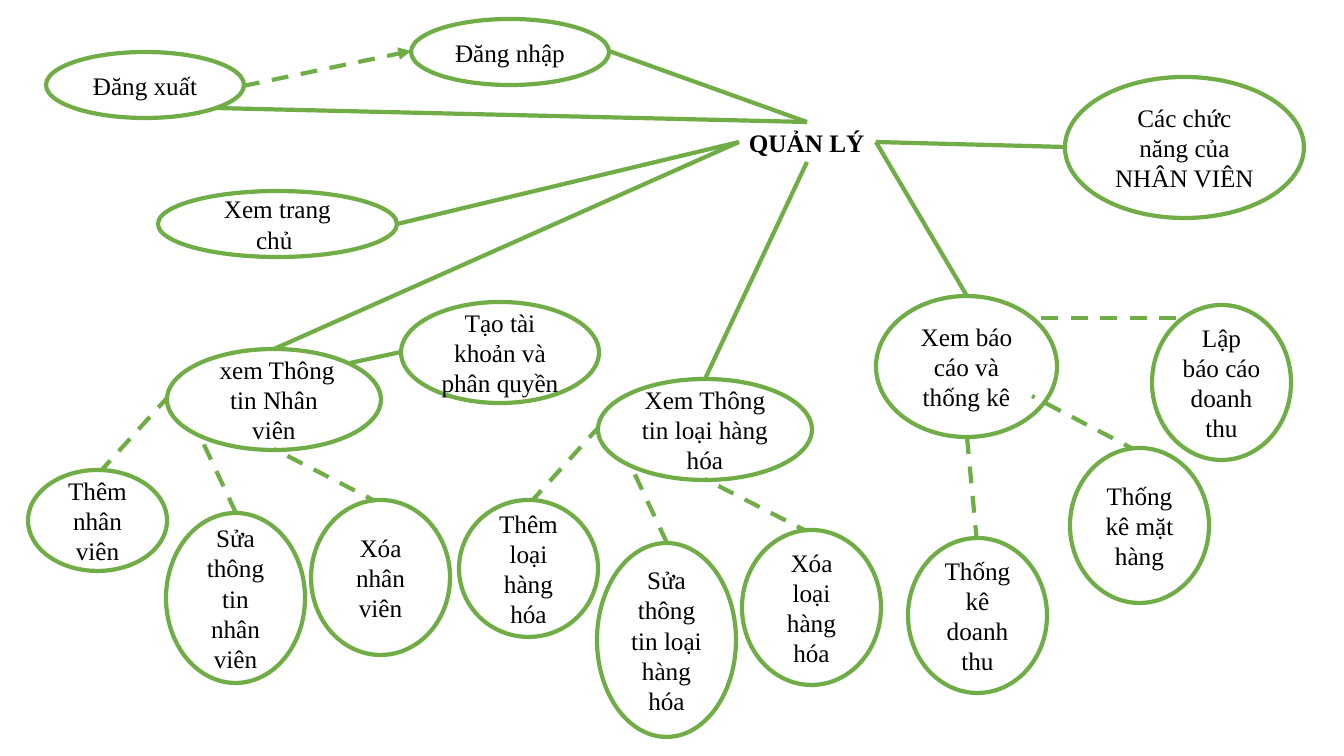
import pptx
import pptx.util
import pptx.dml.color
import pptx.enum.dml
import pptx.enum.shapes
import pptx.enum.text
import pptx.oxml.ns
import lxml.etree

PIXEL = 914400 / 100.8
GREEN = pptx.dml.color.RGBColor(0x70, 0xAD, 0x47)
WHITE = pptx.dml.color.RGBColor(0xFF, 0xFF, 0xFF)
BLACK = pptx.dml.color.RGBColor(0x00, 0x00, 0x00)
FONT = {"name": "Times New Roman", "size": pptx.util.Pt(18), "bold": False}
LINE = {"width": pptx.util.Pt(3)}
DASHED = {**LINE, "dash_style": pptx.enum.dml.MSO_LINE.DASH}

ACTION_WIDTH, ACTION_HEIGHT = 139, 155
MANAGER_BOX = (739, 122, 137, 40)

# Links and action corners are measured from the top left of their hub.
DETAIL_LINKS = [((-68, 124), (0, 49)), ((69, 164), (32, 85)), ((214, 155), (107, 100))]
DETAIL_CORNERS = [(-139, 121), (-1, 164), (144, 151)]
REPORT_LINKS = [((300, 22), (154, 22)), ((263, 156), (156, 100)), ((101, 246), (91, 141))]
REPORT_CORNERS = [(276, 9), (194, 152), (32, 242)]


def emu(*pixels):
    """Turn pixel lengths into EMU."""
    return [pptx.util.Emu(round(pixel * PIXEL)) for pixel in pixels]


def apply_format(target, values):
    """Set every format value on the target."""
    for name, value in values.items():
        setattr(target, name, value)


def write_text(shape, text, **changes):
    """Write one run in the diagram's font and return its paragraph."""
    paragraph = shape.text_frame.paragraphs[0]
    run = paragraph.add_run()
    run.text = text
    apply_format(run.font, {**FONT, **changes})
    run.font.color.rgb = BLACK
    return paragraph


def add_use_case(slide, box, text):
    """Draw one use case ellipse with centred text."""
    shape = slide.shapes.add_shape(pptx.enum.shapes.MSO_SHAPE.OVAL, *emu(*box))
    shape.shadow.inherit = False
    shape.fill.solid()
    shape.fill.fore_color.rgb = WHITE
    shape.line.color.rgb = GREEN
    apply_format(shape.line, LINE)
    apply_format(shape.text_frame, {
        "word_wrap": True,
        "vertical_anchor": pptx.enum.text.MSO_ANCHOR.MIDDLE,
    })
    write_text(shape, text).alignment = pptx.enum.text.PP_ALIGN.CENTER


def add_link(slide, start, end, style=LINE, arrow=False):
    """Draw a straight link, with an arrowhead at its end if asked."""
    link = slide.shapes.add_connector(
        pptx.enum.shapes.MSO_CONNECTOR.STRAIGHT, *emu(*start, *end))
    link.line.color.rgb = GREEN
    apply_format(link.line, style)
    if arrow:
        outline = link.line._get_or_add_ln()
        lxml.etree.SubElement(outline, pptx.oxml.ns.qn("a:tailEnd"), type="triangle")
    properties = link._element.spPr
    lxml.etree.SubElement(properties, pptx.oxml.ns.qn("a:effectLst"))


def draw_manager(slide, box):
    """Draw the manager's name and the links that leave its sides."""
    left, top, width, height = box
    name = slide.shapes.add_textbox(*emu(*box))
    apply_format(name.text_frame, {
        "word_wrap": False,
        "auto_size": pptx.enum.text.MSO_AUTO_SIZE.SHAPE_TO_FIT_TEXT,
    })
    write_text(name, "QUẢN LÝ", bold=True)
    middle, centre = top + height // 2, left + width // 2
    ends_by_side = {
        (centre, top): [(215, 108), (609, 51)],
        (left, middle): [(397, 224), (274, 349)],
        (left + width, middle): [(967, 296), (1065, 147)],
        (centre, top + height): [(705, 379)],
    }
    for start, ends in ends_by_side.items():
        for end in ends:
            add_link(slide, start, end)


def draw_general(slide, box):
    """Draw the sign-in, home page and staff use cases within the box."""
    left, top = box[:2]
    add_link(slide, (left + 243, top + 86), (left + 411, top + 51), DASHED, arrow=True)
    for x, y, width, height, text in [
        (46, 52, 198, 66, "Đăng xuất"),
        (411, 19, 198, 66, "Đăng nhập"),
        (158, 191, 239, 66, "Xem trang chủ "),
        (1065, 77, 239, 141, "Các chức năng của NHÂN VIÊN"),
    ]:
        add_use_case(slide, (left + x, top + y, width, height), text)


def draw_branch(slide, box, text, links, corners, actions):
    """Draw a hub in the box, its dashed links and its actions."""
    left, top = box[:2]
    add_use_case(slide, box, text)
    for start, end in links:
        add_link(slide, *[(left + x, top + y) for x, y in (start, end)], DASHED)
    for (x, y), (action, height) in zip(corners, actions):
        add_use_case(slide, (left + x, top + y, ACTION_WIDTH, height), action)


def draw_account(slide, box):
    """Draw the account use case and its link to the staff hub."""
    left, top, width, height = box
    add_link(slide, (left - 51, top + 61), (left, top + height // 2))
    add_use_case(slide, box, "Tạo tài khoản và phân quyền")


def main():
    """Build the use case diagram."""
    presentation = pptx.Presentation()
    presentation.slide_width, presentation.slide_height = emu(1344, 756)
    slide = presentation.slides.add_slide(presentation.slide_layouts[6])
    draw_manager(slide, MANAGER_BOX)
    draw_general(slide, (0, 0, 1344, 257))
    draw_branch(
        slide, (167, 349, 214, 101), " xem Thông tin Nhân viên",
        DETAIL_LINKS, DETAIL_CORNERS,
        [("Thêm nhân viên", 101), ("Sửa thông tin nhân viên", 170),
         ("Xóa nhân viên", ACTION_HEIGHT)])
    draw_branch(
        slide, (598, 379, 214, 101), "Xem Thông tin loại hàng hóa",
        DETAIL_LINKS, DETAIL_CORNERS,
        [("Thêm loại hàng hóa", 137), ("Sửa thông tin loại hàng hóa", 194),
         ("Xóa loại hàng hóa", ACTION_HEIGHT)])
    draw_account(slide, (401, 302, 198, 101))
    draw_branch(
        slide, (876, 296, 181, 141), "Xem báo cáo và thống kê",
        REPORT_LINKS, REPORT_CORNERS,
        [(action, ACTION_HEIGHT) for action in (
            "Lập báo cáo doanh thu", "Thống kê mặt hàng", "Thống kê doanh thu")])
    presentation.save("out.pptx")


main()
